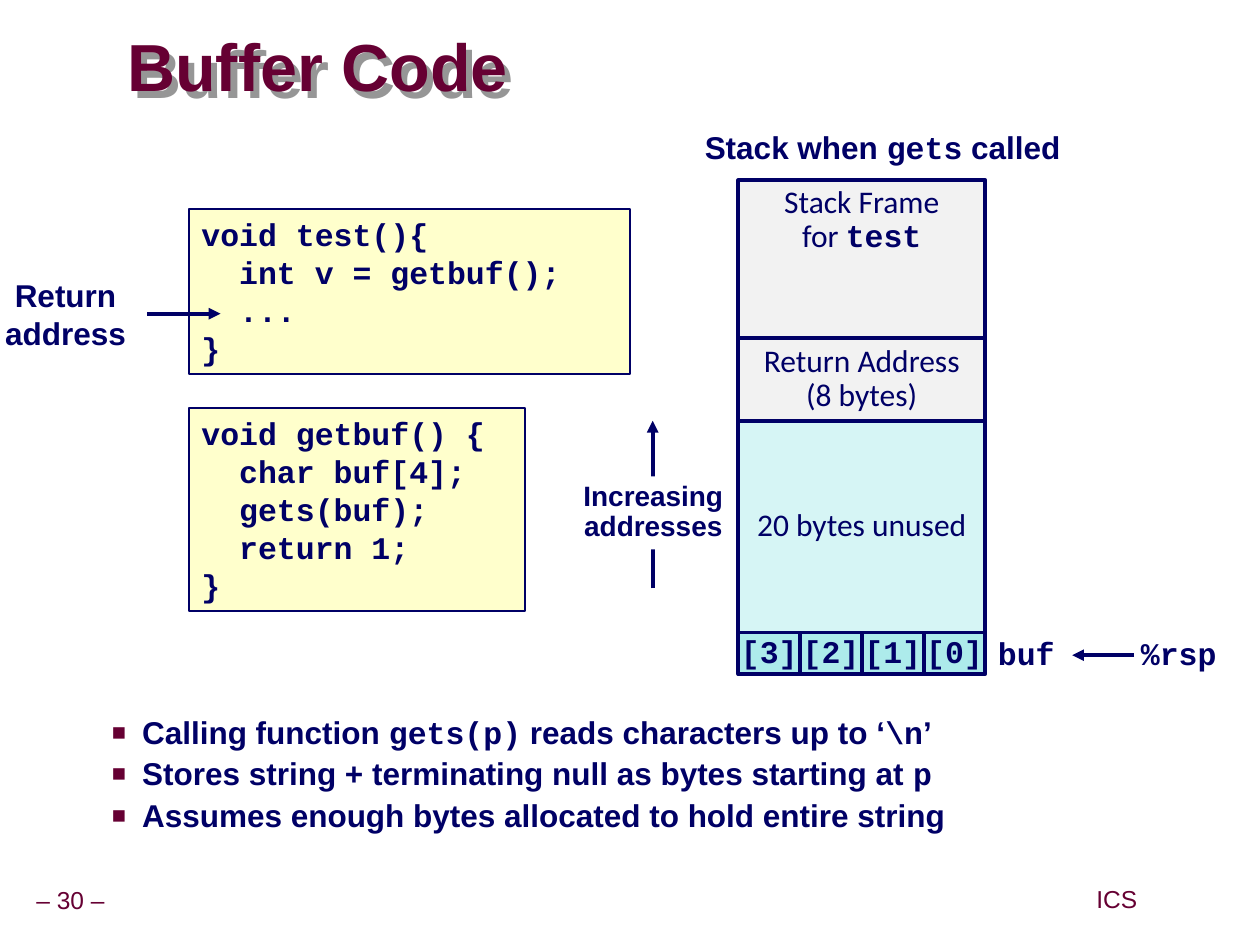
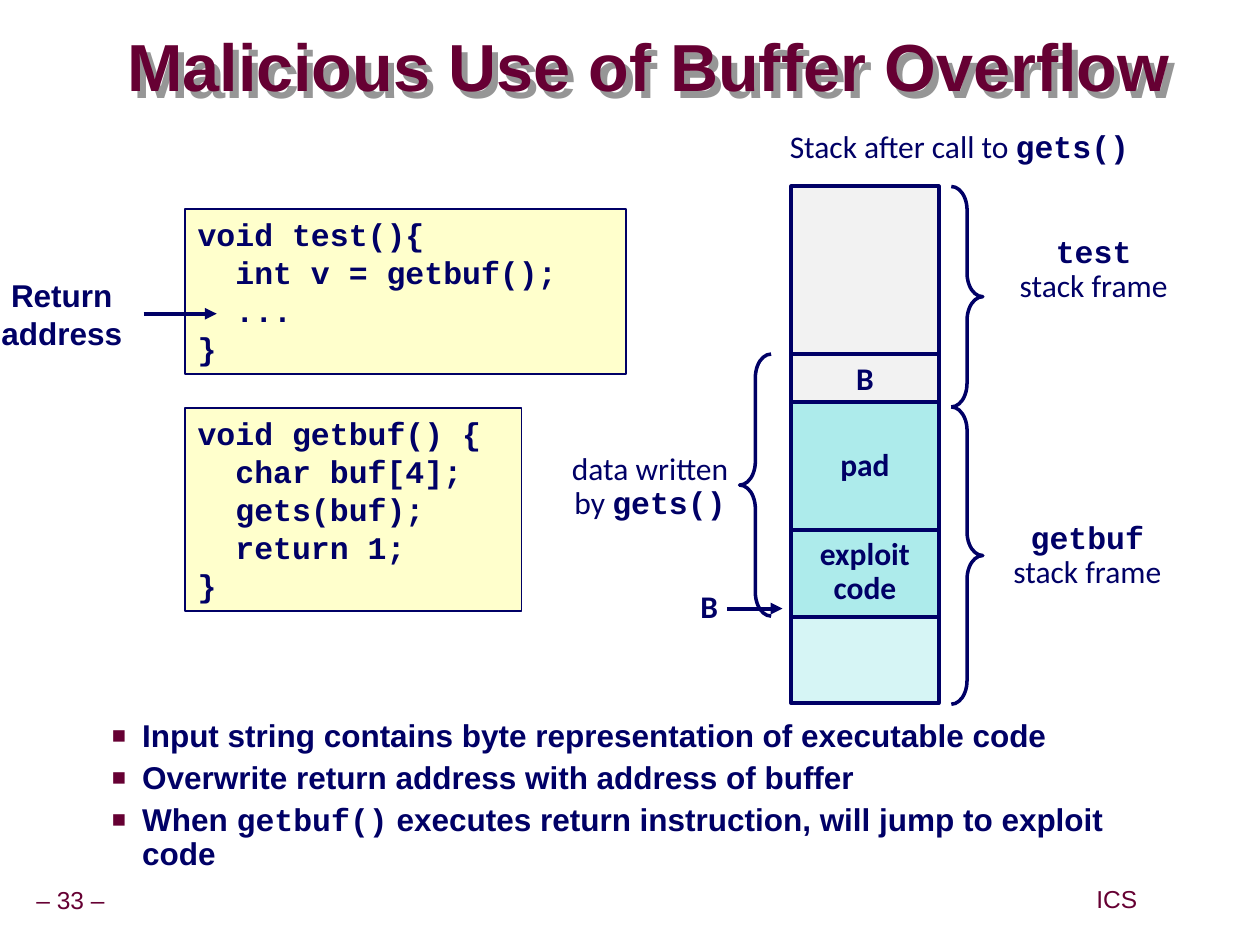
from lxml import etree
from pptx import Presentation
from pptx.dml.color import RGBColor
from pptx.enum.shapes import MSO_CONNECTOR, MSO_SHAPE
from pptx.enum.text import MSO_ANCHOR as ANCHOR, PP_ALIGN as ALIGN
from pptx.oxml.ns import qn
from pptx.util import Emu, Pt

PX = 9144  # 100 px to the inch

MAROON = RGBColor(0x66, 0x00, 0x33)
NAVY = RGBColor(0x00, 0x00, 0x66)
WHITE = RGBColor(0xFF, 0xFF, 0xFF)
SHADOW_GRAY = RGBColor(0x96, 0x96, 0x96)
CODE_YELLOW = RGBColor(0xFF, 0xFF, 0xCC)
CALLER_GRAY = RGBColor(0xF2, 0xF2, 0xF2)
WRITTEN_TEAL = RGBColor(0xAD, 0xEB, 0xEB)
UNUSED_TEAL = RGBColor(0xD6, 0xF5, 0xF5)

SANS, BODY, MONO = "Arial", "Calibri", "Courier New"
CODE_LEADING = Pt(21.6)

TEST_CODE = ["void test(){", "  int v = getbuf();", "  ...", "}"]
GETBUF_CODE = ["void getbuf() {", "  char buf[4];", "  gets(buf);",
               "  return 1;", "}"]


def px(*lengths):
    return [Emu(length * PX) for length in lengths]


def write(shape, lines, font=BODY, size=18, bold=False, color=NAVY,
          align=ALIGN.CENTER, anchor=ANCHOR.MIDDLE, leading=0.9,
          wrap=False, inset=(10, 5)):
    """Fill a shape with paragraphs; parts between backticks become code."""
    frame = shape.text_frame
    frame.word_wrap = wrap
    frame.vertical_anchor = anchor
    frame.margin_left = frame.margin_right = Emu(inset[0] * PX)
    frame.margin_top = frame.margin_bottom = Emu(inset[1] * PX)
    for index, line in enumerate(lines):
        paragraph = frame.paragraphs[0] if index == 0 else frame.add_paragraph()
        paragraph.alignment = align
        paragraph.line_spacing = leading
        for part_index, part in enumerate(line.split("`")):
            if not part:
                continue
            is_code = part_index % 2 == 1
            run = paragraph.add_run()
            run.text = part
            run.font.size = Pt(size)
            run.font.bold = bold or is_code
            run.font.color.rgb = color
            run.font.name = MONO if is_code else font
    return frame


def add_label(slide, box, lines, **style):
    label = slide.shapes.add_textbox(*px(*box))
    write(label, lines, **style)
    return label


def add_block(slide, box, fill, lines=(), line_width=2.25, **style):
    block = slide.shapes.add_shape(MSO_SHAPE.RECTANGLE, *px(*box))
    block.shadow.inherit = False
    block.fill.solid()
    block.fill.fore_color.rgb = fill
    if line_width:
        block.line.color.rgb = NAVY
        block.line.width = Pt(line_width)
    else:
        block.line.fill.background()
    write(block, lines, **style)
    return block


def add_arrow(slide, start, end):
    arrow = slide.shapes.add_connector(MSO_CONNECTOR.STRAIGHT,
                                       *px(*start, *end))
    arrow.line.color.rgb = NAVY
    arrow.line.width = Pt(2.25)
    properties = arrow._element.spPr
    etree.SubElement(properties.find(qn("a:ln")), qn("a:tailEnd"),
                     type="triangle")
    etree.SubElement(properties, qn("a:effectLst"))
    return arrow


def add_brace(slide, preset, box):
    brace = slide.shapes.add_shape(preset, *px(*box))
    brace.adjustments[0] = 0.75
    brace.shadow.inherit = False
    brace.fill.background()
    brace.line.color.rgb = NAVY
    brace.line.width = Pt(2)


def add_title(slide, title):
    """The title box has no fill, so its shadow falls from the letters."""
    label = add_label(slide, (101, 25, 849, 63), [title], font=SANS, size=38,
                      bold=True, color=MAROON, align=ALIGN.LEFT, leading=0.87,
                      wrap=True, inset=(0, 0))
    label.fill.background()
    effects = etree.SubElement(label._element.spPr, qn("a:effectLst"))
    shadow = etree.SubElement(effects, qn("a:outerShdw"), dist="63500",
                              dir="2700000", algn="ctr", rotWithShape="0")
    etree.SubElement(shadow, qn("a:srgbClr"), val=str(SHADOW_GRAY))


def add_footer(slide, number):
    style = dict(font=SANS, size=14, color=MAROON, inset=(5, 5))
    add_label(slide, (23, 700, 66, 31), [f"– {number} –"], **style)
    add_label(slide, (865, 699, 43, 31), ["ICS"], **style)


def add_bullets(slide, top, height, points):
    body = slide.shapes.add_textbox(*px(42, top, 903, height))
    frame = write(body, points, font=SANS, bold=True, align=ALIGN.LEFT,
                  anchor=ANCHOR.TOP, wrap=True)
    for index, paragraph in enumerate(frame.paragraphs):
        if index:
            paragraph.space_before = Pt(4.5)
        properties = paragraph._p.get_or_add_pPr()
        properties.set("marL", str(61 * PX))
        properties.set("indent", str(-24 * PX))
        color = etree.SubElement(properties, qn("a:buClr"))
        etree.SubElement(color, qn("a:srgbClr"), val=str(MAROON))
        etree.SubElement(properties, qn("a:buSzPct"), val="75000")
        etree.SubElement(properties, qn("a:buFont"), typeface=SANS)
        etree.SubElement(properties, qn("a:buChar"), char="■")


def add_code_listings(slide, left, top):
    """Both functions, with the return address marked in the caller."""
    style = dict(line_width=1, font=MONO, bold=True, align=ALIGN.LEFT,
                 anchor=ANCHOR.TOP, leading=CODE_LEADING, wrap=True)
    add_block(slide, (left, top + 158, 267, 161), CODE_YELLOW, GETBUF_CODE,
              **style)
    add_block(slide, (left, top, 350, 131), CODE_YELLOW, TEST_CODE, **style)
    add_label(slide, (left - 147, top + 48, 98, 70), ["Return", "address"],
              font=SANS, bold=True, leading=CODE_LEADING, inset=(0, 5))
    add_arrow(slide, (left - 33, top + 83), (left + 25, top + 83))


def add_address_direction(slide, left, top):
    middle = left + 60
    add_arrow(slide, (middle, top + 133), (middle, top))
    add_block(slide, (left, top + 44, 121, 58), WHITE,
              ["Increasing", "addresses"], line_width=0, font=SANS, size=16,
              bold=True, anchor=ANCHOR.TOP, inset=(5, 5))


def add_stack_before_gets(slide, left, top):
    cell, cell_height = 49, 33
    width = 4 * cell
    add_label(slide, (left - 32, top - 43, 293, 37),
              ["Stack when `gets` called"], font=SANS, bold=True,
              anchor=ANCHOR.TOP, inset=(5, 5))
    regions = [
        (125, CALLER_GRAY, ["Stack Frame", "for `test`"], ANCHOR.TOP),
        (66, CALLER_GRAY, ["Return Address", "(8 bytes)"], ANCHOR.MIDDLE),
        (168, UNUSED_TEAL, ["20 bytes unused"], ANCHOR.MIDDLE),
    ]
    y = top
    for height, fill, lines, anchor in regions:
        add_block(slide, (left, y, width, height), fill, lines, anchor=anchor)
        y += height
    for column in range(4):
        add_block(slide, (left + column * cell, y, cell, cell_height),
                  WRITTEN_TEAL, [f"`[{3 - column}]`"])
    right = left + width
    add_label(slide, (right, y, 65, 40), ["`buf`"], anchor=ANCHOR.TOP)
    add_label(slide, (right + 113, y, 81, 40), ["`%rsp`"], anchor=ANCHOR.TOP)
    add_arrow(slide, (right + 118, y + 18), (right + 69, y + 18))


def add_stack_after_gets(slide, left, top):
    width = 117
    add_label(slide, (left - 13, top - 49, 293, 40),
              ["Stack after call to `gets()`"], anchor=ANCHOR.TOP)
    regions = [
        (133, 42, CALLER_GRAY, ["B"]),
        (0, 133, CALLER_GRAY, []),
        (342, 68, UNUSED_TEAL, []),
        (271, 71, WRITTEN_TEAL, ["exploit", "code"]),
        (171, 102, WRITTEN_TEAL, ["pad"]),
    ]
    for offset, height, fill, lines in regions:
        add_block(slide, (left, top + offset, width, height), fill, lines,
                  bold=True)

    frames = [("test", 0, 175, 170, 34), ("getbuf", 175, 236, 165, 261)]
    for name, offset, height, label_x, label_y in frames:
        add_brace(slide, MSO_SHAPE.RIGHT_BRACE,
                  (left + 127, top + offset, 25, height))
        add_label(slide, (left + label_x, top + label_y, 140, 65),
                  [f"`{name}`", "stack frame"])

    add_brace(slide, MSO_SHAPE.LEFT_BRACE, (left - 41, top + 133, 25, 208))
    add_label(slide, (left - 187, top + 203, 150, 71),
              ["data written", "by `gets()`"])
    buffer_label = add_label(slide, (left - 82, top + 315, 31, 40), ["B"],
                             bold=True)
    pointer = add_arrow(slide, (left - 51, top + 335), (left - 7, top + 335))
    pointer.begin_connect(buffer_label, 3)


def add_base_slide(deck, title, number):
    slide = deck.slides.add_slide(deck.slide_layouts[6])
    add_footer(slide, number)
    add_title(slide, title)
    return slide


def build_buffer_code(deck):
    slide = add_base_slide(deck, "Buffer Code", 30)
    add_bullets(slide, 564, 130, [
        "Calling function `gets(p)` reads characters up to ‘`\\n`’",
        "Stores string + terminating null as bytes starting at `p`",
        "Assumes enough bytes allocated to hold entire string",
    ])
    add_code_listings(slide, 150, 166)
    add_address_direction(slide, 458, 334)
    add_stack_before_gets(slide, 586, 143)


def build_malicious_use(deck):
    slide = add_base_slide(deck, "Malicious Use of Buffer Overflow", 33)
    add_bullets(slide, 567, 130, [
        "Input string contains byte representation of executable code",
        "Overwrite return address with address of buffer",
        "When `getbuf()` executes return instruction, will jump to exploit code",
    ])
    add_code_listings(slide, 147, 166)
    add_stack_after_gets(slide, 628, 148)


def main():
    deck = Presentation()
    deck.slide_width, deck.slide_height = px(1000, 750)
    build_buffer_code(deck)
    build_malicious_use(deck)
    deck.save("out.pptx")


if __name__ == "__main__":
    main()
